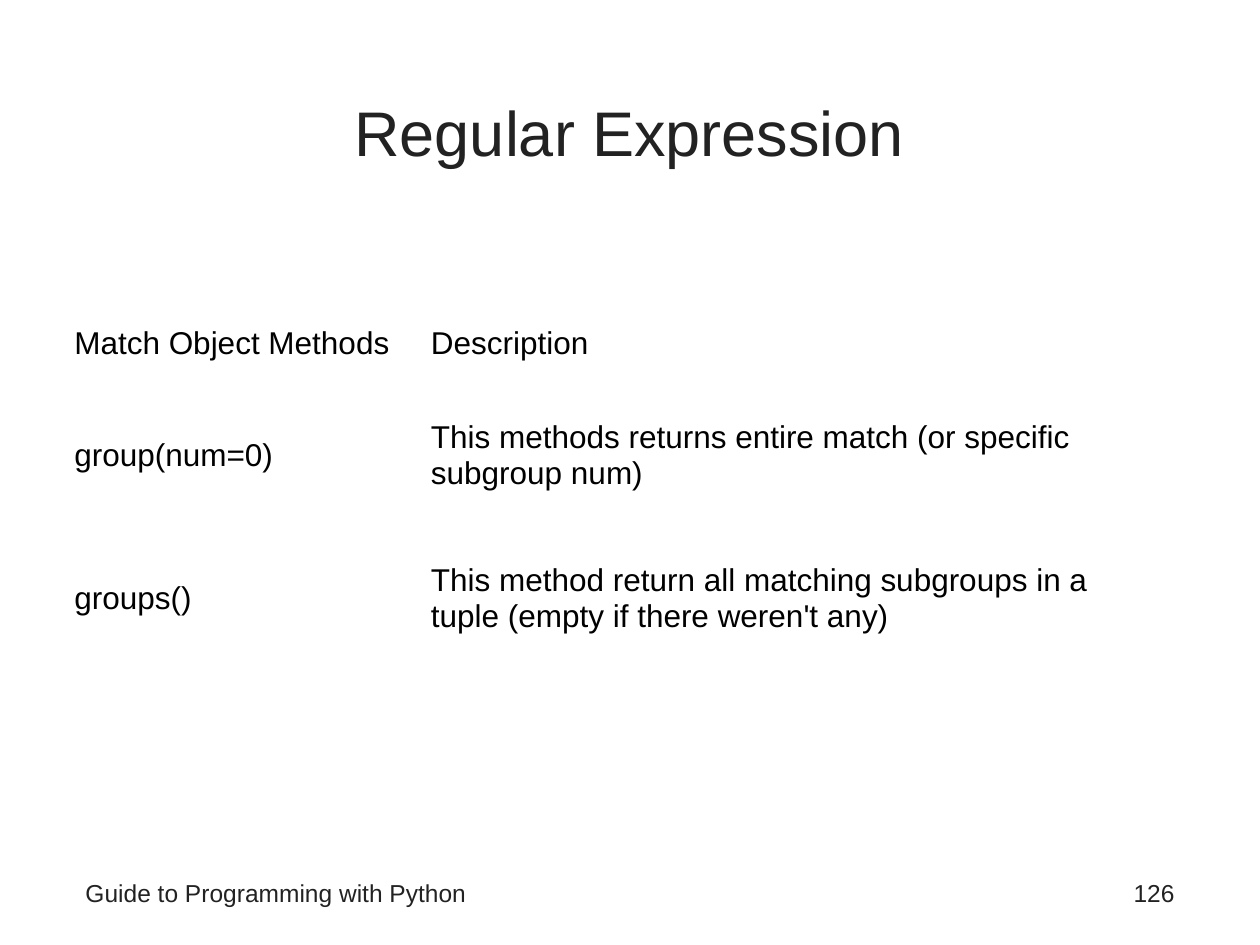
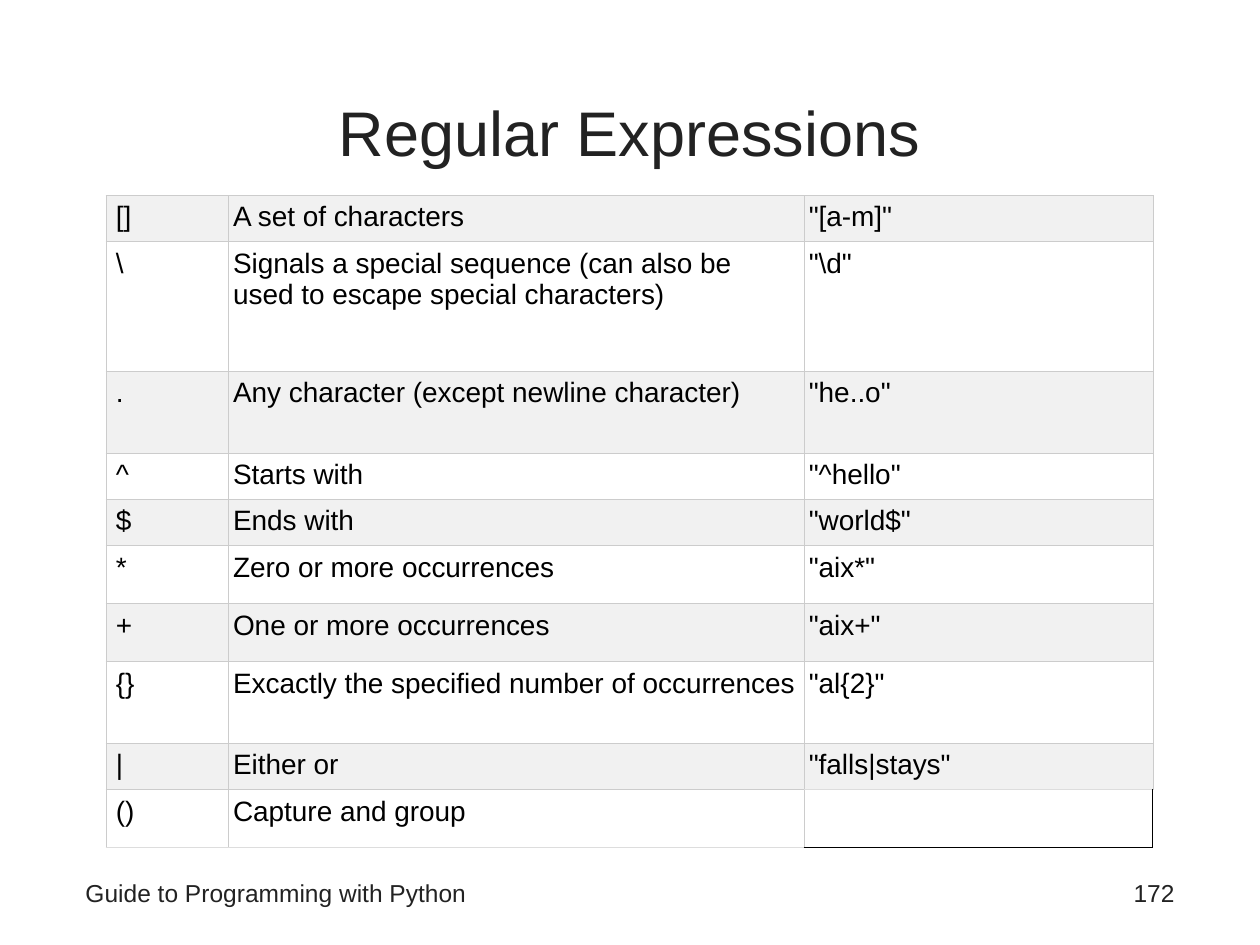
from pptx import Presentation
from pptx.dml.color import RGBColor
from pptx.enum.text import MSO_ANCHOR as Anchor, PP_ALIGN as Align
from pptx.oxml.ns import qn
from pptx.util import Inches, Pt
from lxml.etree import SubElement

INK = RGBColor(0x22, 0x22, 0x22)
BLACK = RGBColor(0, 0, 0)
WHITE = RGBColor(255, 255, 255)
BAND = RGBColor(0xF1, 0xF1, 0xF1)
GRID = RGBColor(0xCC, 0xCC, 0xCC)
PALE = RGBColor(0xDD, 0xDD, 0xDD)
FACE = "Arial"
PLAIN = "{2D5ABB26-0587-4C30-8999-92F81FD0307C}"
FOOT = "Guide to Programming with Python"

METHODS = [
    ("Match Object Methods", "Description"),
    ("group(num=0)", "This methods returns entire match (or specific subgroup num)"),
    ("groups()", "This method return all matching subgroups in a tuple "
                 "(empty if there weren't any)"),
]
SIGNS = [
    ("[]", "A set of characters", '"[a-m]"'),
    ("\\", "Signals a special sequence (can also be used to escape special characters)",
     '"\\d"'),
    (".", "Any character (except newline character)", '"he..o"'),
    ("^", "Starts with", '"^hello"'),
    ("$", "Ends with", '"world$"'),
    ("*", "Zero or more occurrences", '"aix*"'),
    ("+", "One or more occurrences", '"aix+"'),
    ("{}", "Excactly the specified number of occurrences", '"al{2}"'),
    ("|", "Either or", '"falls|stays"'),
    ("()", "Capture and group", ""),
]
SHORT, MID, TALL = 0.35, 0.46, 0.65
HEIGHTS = [SHORT, 1.03, TALL, SHORT, SHORT, MID, MID, TALL, SHORT, MID]


def style(frame, size, color, align=None):
    for para in frame.paragraphs:
        para.alignment = align
        for run in para.runs:
            run.font.name, run.font.size = FACE, Pt(size)
            run.font.color.rgb = color


def place(shape, left, top, width, height):
    shape.left, shape.top = Inches(left), Inches(top)
    shape.width, shape.height = Inches(width), Inches(height)


def add_note(slide, text, left, width, align):
    box = slide.shapes.add_textbox(0, 0, 0, 0)
    place(box, left, 6.92, width, 0.42)
    box.text_frame.word_wrap = True
    box.text_frame.text = text
    style(box.text_frame, 14, INK, align)


def add_page(deck, title, number):
    slide = deck.slides.add_slide(deck.slide_layouts[5])
    head = slide.shapes.title
    place(head, 0.58, 0.42, 8.83, 1.25)
    head.text_frame.text = title
    head.text_frame.vertical_anchor = Anchor.MIDDLE
    style(head.text_frame, 36, INK, Align.CENTER)
    add_note(slide, FOOT, 0.58, 6.42, Align.LEFT)
    add_note(slide, number, 7.17, 2.25, Align.RIGHT)
    return slide


def add_grid(slide, rows, left, top, widths, heights, size):
    table = slide.shapes.add_table(
        len(rows), len(widths), Inches(left), Inches(top),
        Inches(sum(widths)), Inches(sum(heights))).table
    table.first_row = table.horz_banding = False
    table._tbl.tblPr.find(qn("a:tableStyleId")).text = PLAIN
    for col, width in zip(table.columns, widths):
        col.width = Inches(width)
    for row, height, words in zip(table.rows, heights, rows):
        row.height = Inches(height)
        for cell, word in zip(row.cells, words):
            cell.text = word
            style(cell.text_frame, size, BLACK)
    return table


def add_edge(cell, side, color, width):
    line = SubElement(cell._tc.get_or_add_tcPr(), qn("a:ln" + side), w=str(Pt(width)))
    fill = SubElement(line, qn("a:solidFill"))
    SubElement(fill, qn("a:srgbClr"), val=str(color))


def add_methods(deck):
    slide = add_page(deck, "Regular Expression", "126")
    table = add_grid(slide, METHODS, 0.49, 2.4, [2.83, 6.02], [0.65, 1.13, 1.14], 18)
    for cell in table.iter_cells():
        cell.vertical_anchor = Anchor.MIDDLE
        cell.fill.background()


def add_signs(deck):
    slide = add_page(deck, "Regular Expressions", "172")
    table = add_grid(slide, SIGNS, 0.84, 1.55, [0.97, 4.57, 2.77], HEIGHTS, 16)
    last = len(SIGNS) - 1
    for r, words in enumerate(SIGNS):
        for c, word in enumerate(words):
            cell = table.cell(r, c)
            cell.margin_left = Inches(0.04 if c else 0.08)
            cell.margin_right = Inches(0.04)
            edges = dict.fromkeys("LRTB", (GRID, 0.28))
            if r == last or (r, c) == (last - 1, 2):
                edges["B"] = (PALE, 0.28)
            if not word:
                edges["T"] = (PALE, 0.28)
                edges["R"] = edges["B"] = (BLACK, 0.45)
            for side, (color, width) in edges.items():
                add_edge(cell, side, color, width)
            if word:
                cell.fill.solid()
                cell.fill.fore_color.rgb = WHITE if r % 2 else BAND


def main():
    deck = Presentation()
    deck.slide_width, deck.slide_height = Inches(10), Inches(7.5)
    add_methods(deck)
    add_signs(deck)
    deck.save("out.pptx")


if __name__ == "__main__":
    main()
